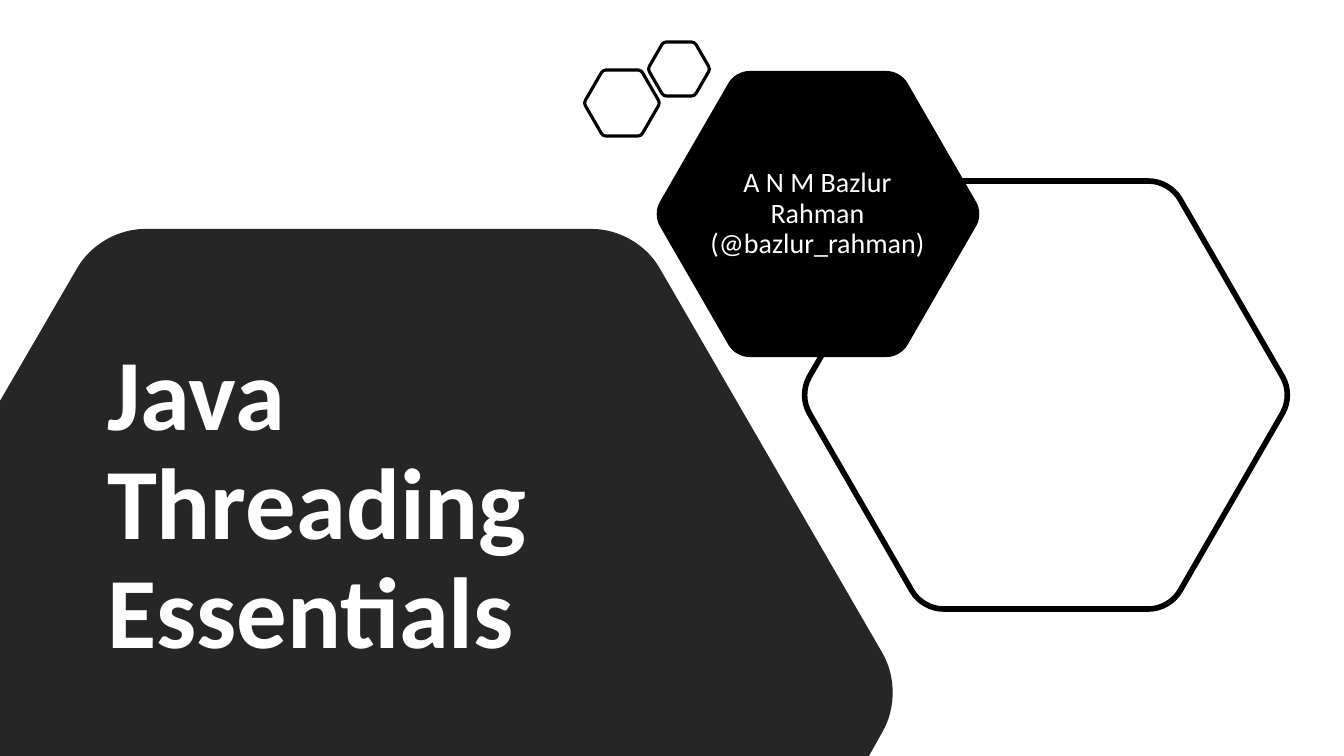
from math import cos, pi, sin

from pptx import Presentation
from pptx.dml.color import RGBColor
from pptx.enum.text import MSO_ANCHOR, PP_ALIGN
from pptx.oxml.xmlchemy import OxmlElement
from pptx.util import Pt

# Content, lengths in px
SLIDE_SIZE = (1344, 756)
EMU_PER_PX = 914400 / 100.8
BLACK = RGBColor(0x00, 0x00, 0x00)
CHARCOAL = RGBColor(0x26, 0x26, 0x26)
WHITE = RGBColor(0xFF, 0xFF, 0xFF)
FONT = "Calibri"

TITLE = ("Java Threading Essentials", (97, 327, 564, 360))
AUTHOR = ("A N M Bazlur Rahman (@bazlur_rahman)", (695, 148, 245, 132))

# Hexagons: centre x, centre y, half height, corner cut
LARGE_HEXAGON = (1046, 395, 214, 21)
AUTHOR_HEXAGON = (818, 214, 143, 14)
SMALL_HEXAGONS = [(622, 103, 33, 3), (679, 69, 27, 3)]
# Title panel, cropped by the slide edges: corner x, corner y, corner cut
PANEL = [(100, 229, 45), (637, 229, 45), (905, 692, 45),
         (869, 756, 0), (0, 756, 0), (0, 401, 0)]
CURVE_PULL = 0.6


def px(length):
    return round(length * EMU_PER_PX)


def hexagon_corners(center_x, center_y, half_height, cut):
    radius = half_height / sin(pi / 3)
    return [(center_x + radius * cos(k * pi / 3),
             center_y + radius * sin(k * pi / 3), cut) for k in range(6)]


def toward(start, end, distance):
    dx, dy = end[0] - start[0], end[1] - start[1]
    share = distance / (dx * dx + dy * dy) ** 0.5
    return start[0] + dx * share, start[1] + dy * share


def add_outline(shapes, corners, fill=None, line_width=None):
    # Each cut corner gives a curve: its start, two control points, its end
    points, curve_starts = [], []
    for i, corner in enumerate(corners):
        cut = corner[2]
        if not cut:
            points.append(corner[:2])
            continue
        before, after = corners[i - 1], corners[(i + 1) % len(corners)]
        inner = cut * (1 - CURVE_PULL)
        curve_starts.append(len(points))
        points += [toward(corner, before, cut), toward(corner, before, inner),
                   toward(corner, after, inner), toward(corner, after, cut)]
    points = [(px(x), px(y)) for x, y in points]
    builder = shapes.build_freeform(*points[0])
    builder.add_line_segments(points[1:], close=True)
    outline = builder.convert_to_shape()

    # Turn the three segments of each corner into one curve
    path = outline._element.xpath(".//a:path")[0]
    nodes = list(path)
    for start in curve_starts:
        curve = OxmlElement("a:cubicBezTo")
        nodes[start + 1].addprevious(curve)
        for node in nodes[start + 1:start + 4]:
            curve.append(node[0])
            path.remove(node)

    outline.shadow.inherit = False
    if fill is None:
        outline.fill.background()
    else:
        outline.fill.solid()
        outline.fill.fore_color.rgb = fill
    if line_width is None:
        outline.line.fill.background()
    else:
        outline.line.color.rgb = BLACK
        outline.line.width = Pt(line_width)


def write_text(holder, text, box, size, bold=False, align=PP_ALIGN.LEFT):
    holder.left, holder.top, holder.width, holder.height = map(px, box)
    frame = holder.text_frame
    frame.text = text
    frame.word_wrap = True
    frame.vertical_anchor = MSO_ANCHOR.MIDDLE
    paragraph = frame.paragraphs[0]
    paragraph.alignment = align
    paragraph.line_spacing = 0.9
    paragraph.space_before = Pt(0)
    font = paragraph.runs[0].font
    font.name, font.size, font.bold = FONT, Pt(size), bold
    font.color.rgb = WHITE
    # Bring the text in front of the hexagons
    slide.shapes._spTree.append(holder._element)


presentation = Presentation()
presentation.slide_width, presentation.slide_height = map(px, SLIDE_SIZE)
slide = presentation.slides.add_slide(presentation.slide_layouts[0])

# Large hexagons and title panel
add_outline(slide.shapes, hexagon_corners(*LARGE_HEXAGON), line_width=4)
add_outline(slide.shapes, hexagon_corners(*AUTHOR_HEXAGON), fill=BLACK)
add_outline(slide.shapes, PANEL, fill=CHARCOAL)

# Title and author
write_text(slide.shapes.title, *TITLE, size=72, bold=True)
write_text(slide.placeholders[1], *AUTHOR, size=20, align=PP_ALIGN.CENTER)

# Pair of small hexagons
small_pair = slide.shapes.add_group_shape()
for hexagon in SMALL_HEXAGONS:
    add_outline(small_pair.shapes, hexagon_corners(*hexagon), line_width=2.25)

presentation.save("out.pptx")
